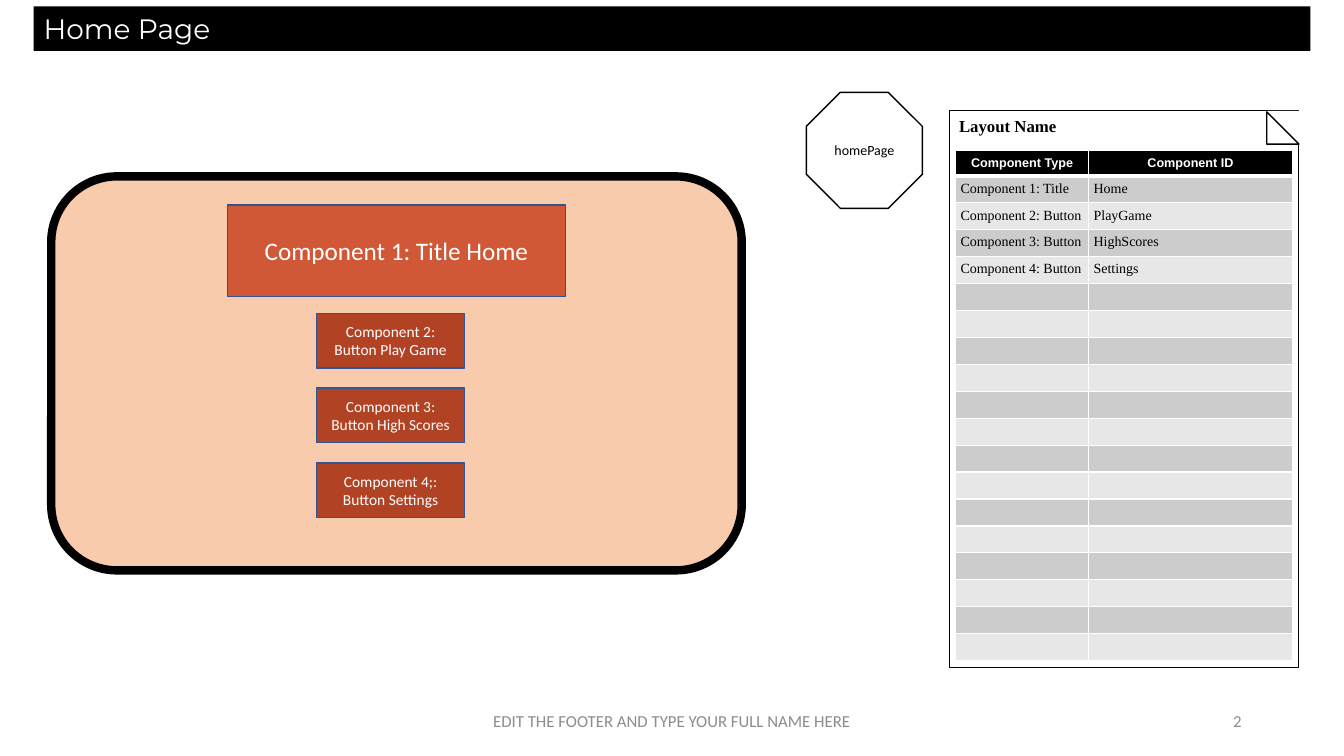
from collections import namedtuple

from lxml.etree import SubElement
from pptx import Presentation
from pptx.dml.color import RGBColor
from pptx.enum.shapes import MSO_SHAPE
from pptx.enum.text import MSO_ANCHOR, PP_ALIGN
from pptx.oxml.ns import qn
from pptx.util import Emu, Inches, Pt

COLORS = {
    "ink": "000000", "paper": "FFFFFF", "muted": "8C8C8C",
    "panel": "F8CBAD", "heading": "D15837", "button": "B24224",
    "outline": "325491", "odd": "CCCCCC", "even": "E7E7E7",
}
GRID_COLUMNS, GRID_ROWS = 160, 90
UNIT = Inches(7.5) / GRID_ROWS

COMPONENTS = [
    ("Component 1: Title", "Home"),
    ("Component 2: Button", "PlayGame"),
    ("Component 3: Button ", "HighScores"),
    ("Component 4: Button", "Settings"),
]
BUTTONS = [
    "Component 2: Button Play Game",
    "Component 3: Button High Scores",
    "Component 4;: Button Settings",
]
TABLE_ROWS = 18

Box = namedtuple("Box", "left top width height")


def units(count):
    """Convert grid units to a length."""
    return Emu(round(count * UNIT))


def color(name):
    """Look up a named colour."""
    return RGBColor.from_string(COLORS[name])


def inside(box, left, top, width, height):
    """Return a box placed relative to the corner of another."""
    return Box(box.left + left, box.top + top, width, height)


def write(frame, text, size, font="Calibri", ink="ink", bold=False,
          align=PP_ALIGN.CENTER, anchor=MSO_ANCHOR.MIDDLE):
    """Fill a text frame with one formatted paragraph."""
    frame.word_wrap = True
    frame.vertical_anchor = anchor
    paragraph = frame.paragraphs[0]
    paragraph.text = text
    paragraph.alignment = align
    for run in paragraph.runs:
        run.font.size, run.font.name, run.font.bold = Pt(size), font, bold
        run.font.color.rgb = color(ink)


def draw(shapes, kind, box, fill=None, line=None, weight=1):
    """Add a flat preset shape."""
    shape = shapes.add_shape(kind, *map(units, box))
    shape.shadow.inherit = False
    if fill:
        shape.fill.solid()
        shape.fill.fore_color.rgb = color(fill)
    else:
        shape.fill.background()
    if line:
        shape.line.color.rgb = color(line)
        shape.line.width = Pt(weight)
    else:
        shape.line.fill.background()
    return shape


def add_title_bar(slide, box):
    """Draw the black bar with the page title."""
    bar = draw(slide.shapes, MSO_SHAPE.RECTANGLE, box, "ink")
    write(bar.text_frame, "Home Page", 20, "Montserrat", "paper",
          align=PP_ALIGN.LEFT, anchor=MSO_ANCHOR.TOP)


def add_page_marker(slide, box):
    """Draw the octagon naming the page."""
    marker = draw(slide.shapes, MSO_SHAPE.OCTAGON, box, line="ink")
    write(marker.text_frame, "homePage", 10)


def add_screen(slide, box):
    """Draw the screen mock-up with its title and stacked buttons."""
    draw(slide.shapes, MSO_SHAPE.ROUNDED_RECTANGLE, box, "panel", "ink", 6)
    heading = draw(slide.shapes, MSO_SHAPE.RECTANGLE,
                   inside(box, 21, 3.4, 40.2, 10.9), "heading", "outline")
    write(heading.text_frame, "Component 1: Title Home", 18, ink="paper")
    pitch = 8.9
    for index, label in enumerate(BUTTONS):
        place = inside(box, 31.6, 16.3 + index * pitch, 17.6, 6.5)
        button = draw(slide.shapes, MSO_SHAPE.RECTANGLE, place,
                      "button", "outline")
        write(button.text_frame, label, 11, ink="paper")


def add_layout_note(slide, box):
    """Draw the folded sheet and the component table on it."""
    sheet = slide.shapes.add_group_shape().shapes
    page = draw(sheet, MSO_SHAPE.RECTANGLE, box, line="ink", weight=0.75)
    write(page.text_frame, "Layout Name", 12, "Times New Roman", bold=True,
          align=PP_ALIGN.LEFT, anchor=MSO_ANCHOR.TOP)
    fold_size = 3.84
    corner = inside(box, box.width - fold_size, 0, fold_size, fold_size)
    draw(sheet, MSO_SHAPE.RECTANGLE, corner, "paper")
    fold = draw(sheet, MSO_SHAPE.ISOSCELES_TRIANGLE,
                inside(corner, 0, 0.12, fold_size, fold_size), "paper", "ink")
    fold.adjustments[0] = 0
    add_component_table(slide, inside(box, 0.75, 4.7, 40.1, 60.6))


def add_component_table(slide, box):
    """Add the banded table of component types and IDs."""
    table = slide.shapes.add_table(TABLE_ROWS + 1, 2,
                                   *map(units, box)).table
    type_width, header_height = 15.85, 3
    table.columns[0].width = units(type_width)
    table.columns[1].width = units(box.width - type_width)
    row_height = (box.height - header_height) / TABLE_ROWS
    blanks = [("", "")] * (TABLE_ROWS - len(COMPONENTS))
    content = [("Component Type", "Component ID")] + COMPONENTS + blanks
    for index, entries in enumerate(content):
        table.rows[index].height = units(row_height if index else header_height)
        for cell, entry in zip(table.rows[index].cells, entries):
            if index == 0:
                fill_cell(cell, "ink", bottom=3)
                write_cell(cell, entry, 9, "Arial", "paper", True,
                           PP_ALIGN.CENTER, MSO_ANCHOR.MIDDLE)
            else:
                fill_cell(cell, "odd" if index % 2 else "even",
                          top=3 if index == 1 else 1)
                write_cell(cell, entry, 10, "Times New Roman", "ink", False,
                           PP_ALIGN.LEFT, MSO_ANCHOR.TOP)


def write_cell(cell, text, size, font, ink, bold, align, anchor):
    """Write a table cell, keeping empty ones at the same text size."""
    cell.margin_left = cell.margin_right = Inches(0.05)
    cell.margin_top = cell.margin_bottom = Inches(0.05)
    write(cell.text_frame, text, size, font, ink, bold, align)
    cell.vertical_anchor = anchor
    if not text:
        ending = SubElement(cell.text_frame.paragraphs[0]._p,
                            qn("a:endParaRPr"), sz=str(size * 100))
        SubElement(ending, qn("a:latin"), typeface=font)


def fill_cell(cell, fill, top=1, bottom=1):
    """Give a cell white borders and a solid fill."""
    properties = cell._tc.get_or_add_tcPr()
    for side, weight in zip("LRTB", (1, 1, top, bottom)):
        border = SubElement(properties, qn("a:ln" + side), w=str(Pt(weight)))
        solid = SubElement(border, qn("a:solidFill"))
        SubElement(solid, qn("a:srgbClr"), val=COLORS["paper"])
    cell.fill.solid()
    cell.fill.fore_color.rgb = color(fill)


def add_footer(slide, box):
    """Add the footer line and the page number."""
    parts = [
        ("EDIT THE FOOTER AND TYPE YOUR FULL NAME HERE", 0, 54, PP_ALIGN.CENTER),
        ("2", 60, 36, PP_ALIGN.RIGHT),
    ]
    for text, left, width, align in parts:
        place = inside(box, left, 0, width, box.height)
        label = slide.shapes.add_textbox(*map(units, place))
        write(label.text_frame, text, 12, ink="muted", align=align)


def build():
    """Build the slide and save it."""
    deck = Presentation()
    deck.slide_width, deck.slide_height = units(GRID_COLUMNS), units(GRID_ROWS)
    slide = deck.slides.add_slide(deck.slide_layouts[6])
    add_page_marker(slide, Box(96, 11, 13.8, 13.8))
    add_title_bar(slide, Box(4, 0.75, 152, 5.3))
    add_footer(slide, Box(53, 83.4, 96, 4.8))
    add_screen(slide, Box(6.1, 21, 82.2, 46.9))
    add_layout_note(slide, Box(113, 13.2, 41.65, 66.25))
    deck.save("out.pptx")


build()
